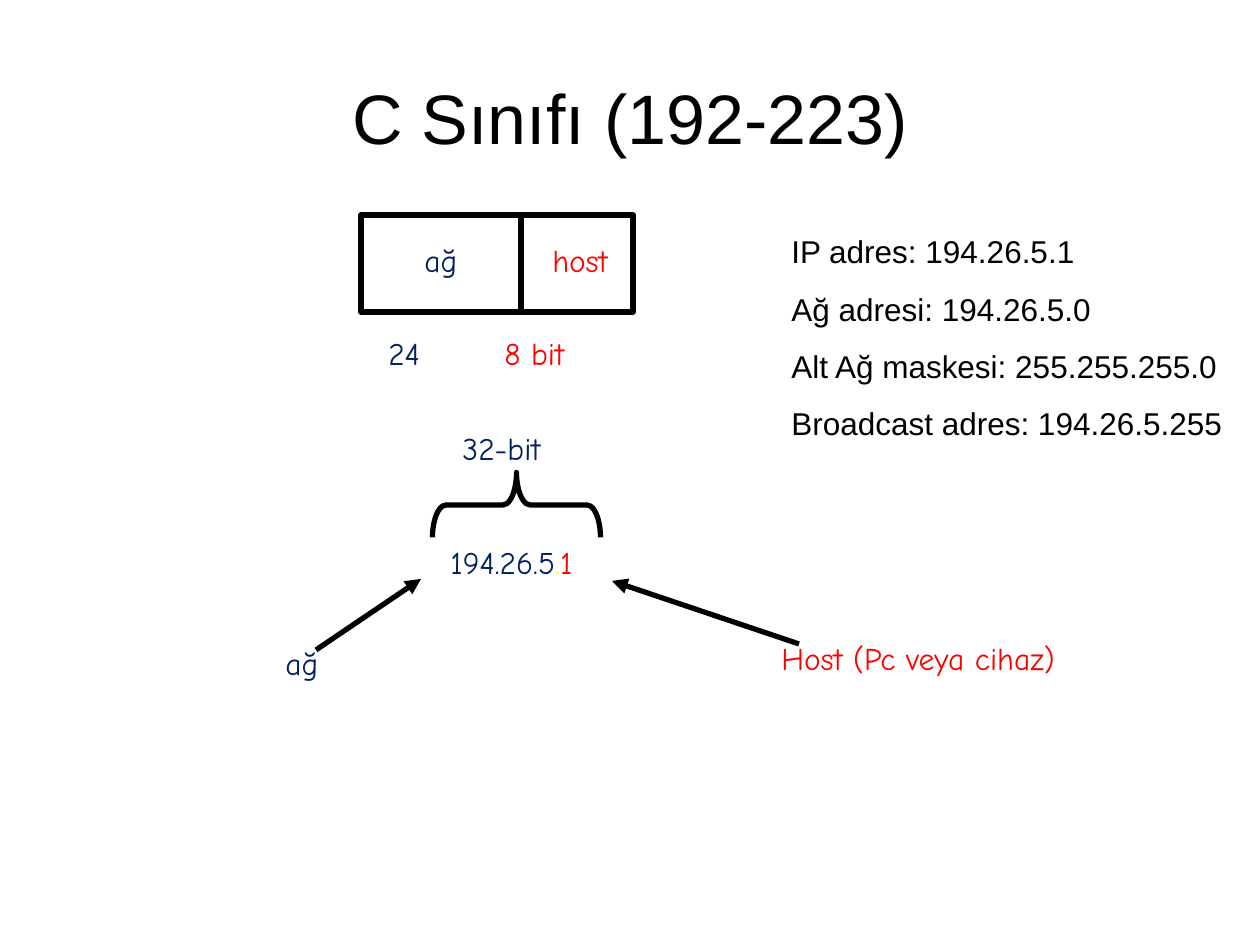
from pptx import Presentation
from pptx import util as u
from pptx.dml.color import RGBColor
from pptx.enum import shapes, text
from pptx.oxml.ns import qn
from lxml import etree

PX = 914400 // 126
BLACK, NAVY, RED, YELLOW = "000000", "002060", "FF0000", "FFFF00"
HAND, SANS = "Comic Neue", "Arial"

TITLE = "C Sınıfı (192-223)"
ADDRESSES = [
    "IP adres: 194.26.5.1",
    "Ağ adresi: 194.26.5.0",
    "Alt Ağ maskesi: 255.255.255.0",
    "Broadcast adres: 194.26.5.255",
]
# label, colour, left, top, width
LABELS = [
    ("ağ", NAVY, 412, 235, 70),
    ("host", RED, 540, 235, 90),
    ("24", NAVY, 376, 328, 70),
    ("8 bit", RED, 492, 328, 110),
    ("ağ", NAVY, 273, 638, 70),
    ("32-bit", NAVY, 450, 423, 115),
    ("Host (Pc veya cihaz)", RED, 769, 633, 310),
]
IP_PARTS = [("194.26.5", NAVY), (".", YELLOW), ("1", RED)]
# from x, from y, to x, to y, arrowhead
LINES = [
    (521, 214, 521, 312, False),
    (316, 650, 421, 579, True),
    (799, 644, 612, 581, True),
]


def px(*lengths):
    return [u.Emu(length * PX) for length in lengths]


def rgb(colour):
    return RGBColor.from_string(colour)


def set_font(font, name, size, colour=None):
    font.name, font.size = name, u.Pt(size)
    if colour:
        font.color.rgb = rgb(colour)


def add_text(slide, left, top, width, height=50):
    frame = slide.shapes.add_textbox(*px(left, top, width, height)).text_frame
    frame.word_wrap = True
    return frame


def draw_line(line):
    line.color.rgb, line.width = rgb(BLACK), u.Pt(3)


def add_outline(slide, kind, *box):
    outline = slide.shapes.add_shape(kind, *px(*box))
    outline.shadow.inherit = False
    outline.fill.background()
    draw_line(outline.line)
    return outline


def add_line(slide, x1, y1, x2, y2, arrow):
    connector = slide.shapes.add_connector(
        shapes.MSO_CONNECTOR.STRAIGHT, *px(x1, y1, x2, y2))
    draw_line(connector.line)
    if arrow:
        etree.SubElement(connector.line._get_or_add_ln(), qn("a:tailEnd"),
                         type="triangle")
    etree.SubElement(connector._element.spPr, qn("a:effectLst"))


def main():
    deck = Presentation()
    deck.slide_width, deck.slide_height = u.Inches(10), u.Inches(7.5)
    slide = deck.slides.add_slide(deck.slide_layouts[5])

    # Title
    title = slide.shapes.title
    title.left, title.top, title.width, title.height = px(63, 38, 1134, 158)
    title.text_frame.text = TITLE
    title.text_frame.vertical_anchor = text.MSO_ANCHOR.MIDDLE
    heading = title.text_frame.paragraphs[0]
    heading.alignment = text.PP_ALIGN.CENTER
    set_font(heading.font, SANS, 40, BLACK)

    # Network and host fields, with the brace over the address
    add_outline(slide, shapes.MSO_SHAPE.RECTANGLE, 361, 215, 272, 97)
    brace = add_outline(slide, shapes.MSO_SHAPE.LEFT_BRACE, 484, 421, 65, 168)
    brace.rotation = 90
    brace.adjustments[0] = 0.21
    for line in LINES:
        add_line(slide, *line)

    # Labels
    for label, colour, *box in LABELS:
        frame = add_text(slide, *box)
        frame.text = label
        set_font(frame.paragraphs[0].font, HAND, 18, colour)

    # Example address, coloured by part
    frame = add_text(slide, 393, 537, 237)
    frame.vertical_anchor = text.MSO_ANCHOR.MIDDLE
    example = frame.paragraphs[0]
    example.alignment = text.PP_ALIGN.CENTER
    set_font(example.font, HAND, 18)
    for part, colour in IP_PARTS:
        run = example.add_run()
        run.text = part
        run.font.color.rgb = rgb(colour)

    # Address list
    frame = add_text(slide, 779, 226, 481, 280)
    frame.text = "\n".join(ADDRESSES)
    for i, address in enumerate(frame.paragraphs):
        set_font(address.font, SANS, 18, BLACK)
        if i:
            address.space_before = u.Pt(11.2)

    deck.save("out.pptx")


if __name__ == "__main__":
    main()
